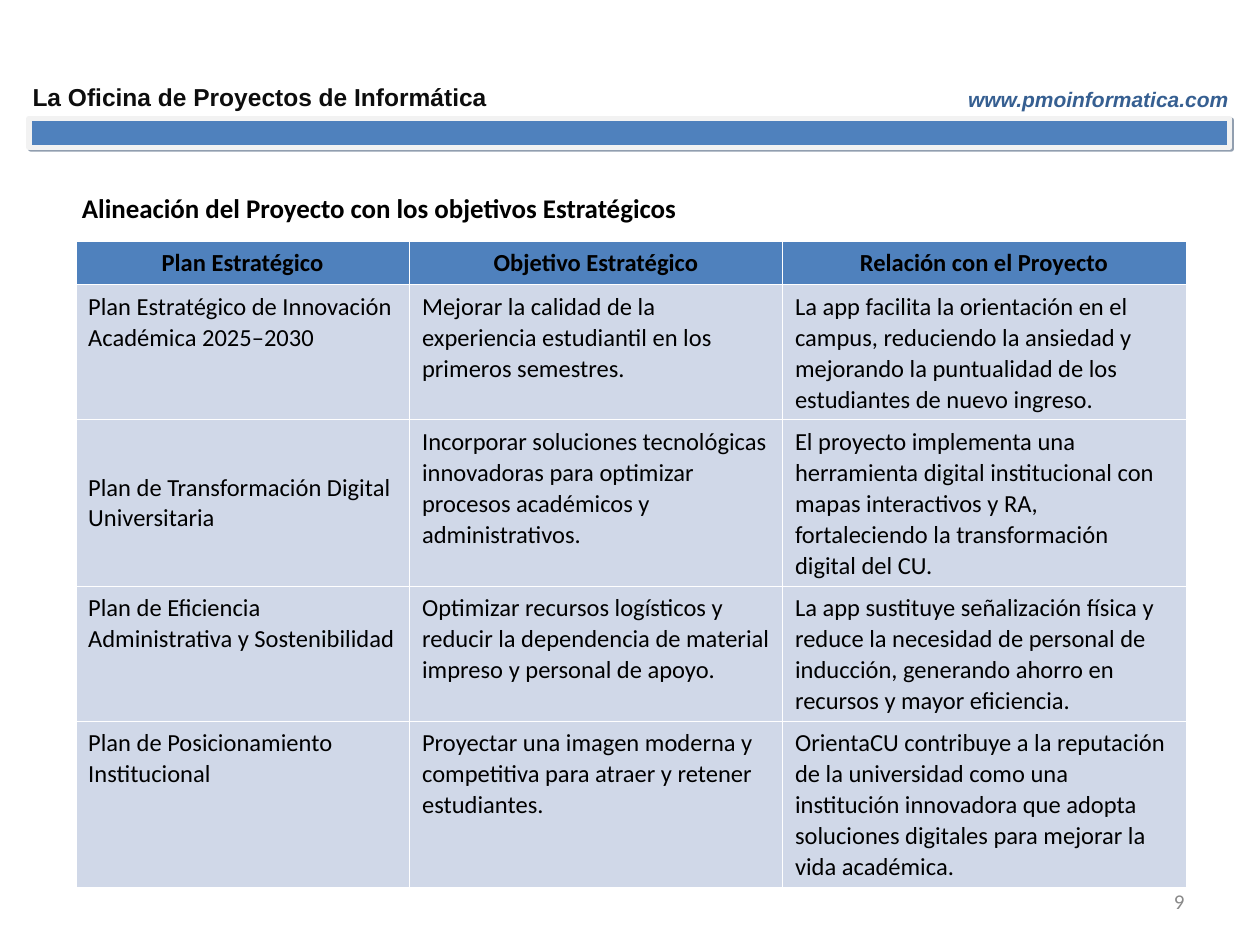
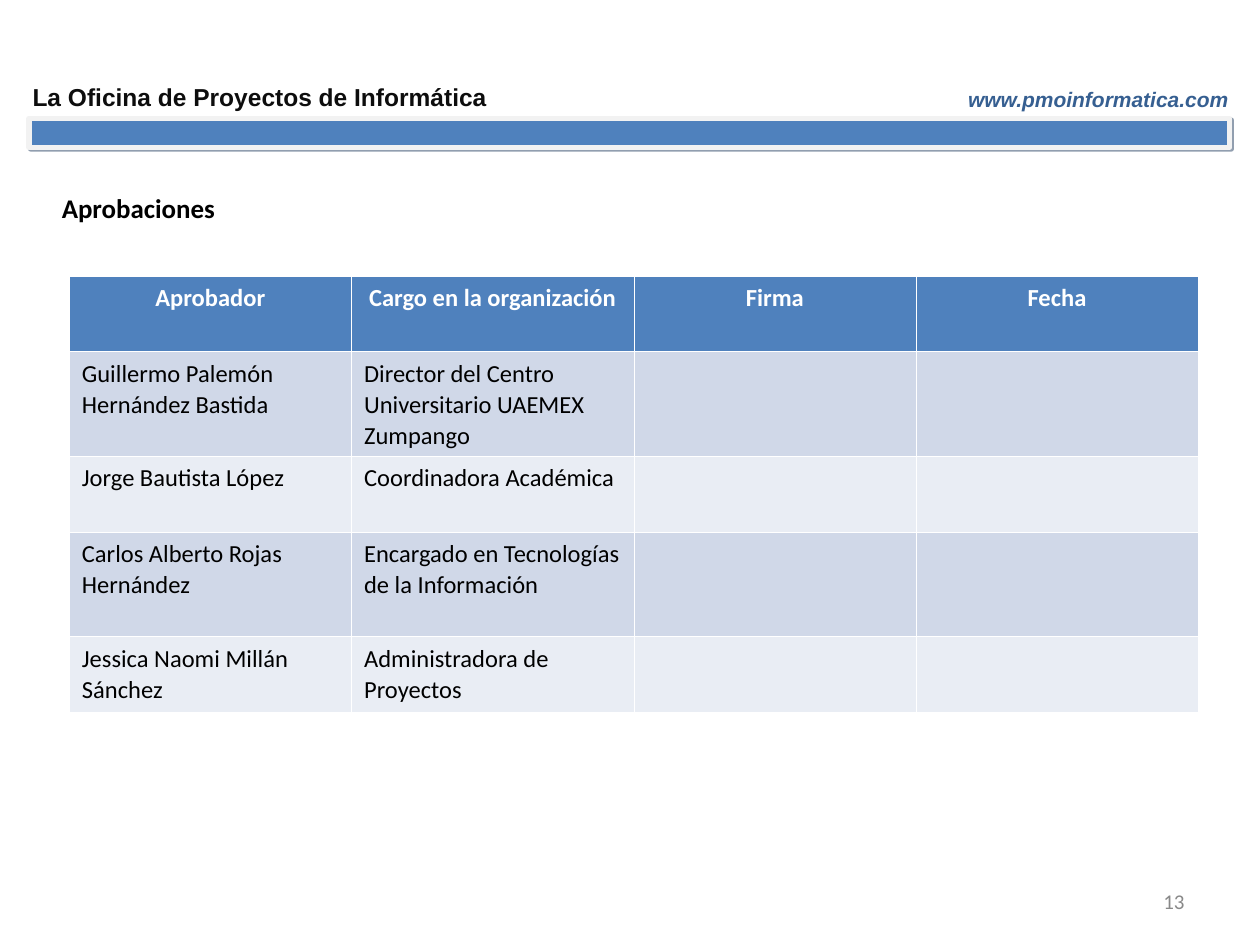
from lxml import etree
from pptx import Presentation
from pptx.dml.color import RGBColor
from pptx.enum import shapes, text
from pptx.oxml import ns
from pptx.util import Inches, Pt

HUES = {
    "band": "4F81BD", "edge": "F2F2F2", "shade": "243F60", "ink": "0D0D0D",
    "link": "365F91", "black": "000000", "white": "FFFFFF", "gray": "898989",
    "dark": "D0D8E8", "light": "E9EDF4",
}
LEFT, MID, RIGHT = text.PP_ALIGN.LEFT, text.PP_ALIGN.CENTER, text.PP_ALIGN.RIGHT

PLANS = [
    ["Plan Estratégico", "Objetivo Estratégico", "Relación con el Proyecto"],
    ["Plan Estratégico de Innovación Académica 2025–2030",
     "Mejorar la calidad de la experiencia estudiantil en los primeros semestres.",
     "La app facilita la orientación en el campus, reduciendo la ansiedad y "
     "mejorando la puntualidad de los estudiantes de nuevo ingreso."],
    ["Plan de Transformación Digital Universitaria",
     "Incorporar soluciones tecnológicas innovadoras para optimizar procesos "
     "académicos y administrativos.",
     "El proyecto implementa una herramienta digital institucional con mapas "
     "interactivos y RA, fortaleciendo la transformación digital del CU."],
    ["Plan de Eficiencia Administrativa y Sostenibilidad",
     "Optimizar recursos logísticos y reducir la dependencia de material impreso "
     "y personal de apoyo.",
     "La app sustituye señalización física y reduce la necesidad de personal de "
     "inducción, generando ahorro en recursos y mayor eficiencia."],
    ["Plan de Posicionamiento Institucional",
     "Proyectar una imagen moderna y competitiva para atraer y retener estudiantes.",
     "OrientaCU contribuye a la reputación de la universidad como una institución "
     "innovadora que adopta soluciones digitales para mejorar la vida académica."],
]
SIGNERS = [
    ["Aprobador", "Cargo en la organización", "Firma", "Fecha"],
    ["Guillermo Palemón Hernández Bastida",
     "Director del Centro Universitario UAEMEX Zumpango", "", ""],
    ["Jorge Bautista López", "Coordinadora Académica", "", ""],
    ["Carlos Alberto Rojas Hernández",
     "Encargado en Tecnologías de la Información", "", ""],
    ["Jessica Naomi Millán Sánchez", "Administradora de Proyectos", "", ""],
]


def color(name):
    return RGBColor.from_string(HUES[name])


def add_hue(parent, name):
    return etree.SubElement(parent, ns.qn("a:srgbClr"), val=HUES[name])


class Deck:
    def __init__(self):
        self.prs = Presentation()
        self.prs.slide_width, self.prs.slide_height = Inches(10), Inches(7.5)
        self.slide = None

    def page(self, title, left, number):
        """Start a slide with the shared header, its title and its number."""
        self.slide = self.prs.slides.add_slide(self.prs.slide_layouts[5])
        self.band(0.23, 0.94, 9.53, 0.23)
        self.label("La Oficina de Proyectos de Informática", 0.16, 0.6, 3.91, 0.34,
                   size=14, hue="ink", font="Arial", bold=True)
        self.label("www.pmoinformatica.com", 7.19, 0.64, 2.66, 0.3, align=RIGHT,
                   size=12, hue="link", font="Arial", bold=True, italic=True)
        self.title(title, left)
        self.label(str(number), 7.17, 6.95, 2.33, 0.4, align=RIGHT,
                   size=12, hue="gray")

    def put(self, frame, words, align=LEFT, lines=1.0, size=14, hue="black",
            font="Calibri", bold=False, italic=False):
        """Set the words of a text frame and format them."""
        frame.text = words
        para = frame.paragraphs[0]
        para.alignment, para.line_spacing = align, lines
        for run in para.runs:
            face = run.font
            face.name, face.size, face.bold, face.italic = font, Pt(size), bold, italic
            face.color.rgb = color(hue)

    def band(self, *place):
        bar = self.slide.shapes.add_shape(shapes.MSO_SHAPE.RECTANGLE,
                                          *map(Inches, place))
        bar.fill.solid()
        bar.fill.fore_color.rgb = color("band")
        bar.line.color.rgb = color("edge")
        bar.line.width = Pt(3)
        bar.shadow.inherit = False
        glow = etree.SubElement(
            bar.element.spPr.find(ns.qn("a:effectLst")), ns.qn("a:outerShdw"),
            blurRad="0", dist=str(Pt(1.4)), dir="2700000", algn="ctr",
            rotWithShape="0")
        etree.SubElement(add_hue(glow, "shade"), ns.qn("a:alpha"), val="50000")

    def label(self, words, *place, **style):
        frame = self.slide.shapes.add_textbox(*map(Inches, place)).text_frame
        frame.word_wrap = True
        frame.vertical_anchor = text.MSO_ANCHOR.MIDDLE
        self.put(frame, words, **style)

    def title(self, words, left):
        head = self.slide.shapes.title
        head.left, head.top = Inches(left), Inches(1.48)
        head.width, head.height = Inches(9.03), Inches(0.39)
        frame = head.text_frame
        frame.auto_size = text.MSO_AUTO_SIZE.NONE
        frame.vertical_anchor = text.MSO_ANCHOR.MIDDLE
        self.put(frame, words, lines=0.8, size=15.4, bold=True)

    def border(self, cell, top, bottom):
        props = cell._tc.get_or_add_tcPr()
        for side, width in zip("LRTB", (0.11, 0.11, top, bottom)):
            line = etree.SubElement(props, ns.qn("a:ln" + side), w=str(Pt(width)))
            add_hue(etree.SubElement(line, ns.qn("a:solidFill")), "white")

    def table(self, rows, left, top, widths, heights, ink, fills, thick):
        """Draw a table whose first `thick` inner rules are the heavier ones."""
        grid = self.slide.shapes.add_table(
            len(rows), len(widths), Inches(left), Inches(top),
            Inches(sum(widths)), Inches(sum(heights))).table
        grid.first_row = grid.horz_banding = False
        for col, width in zip(grid.columns, widths):
            col.width = Inches(width)
        for r, (row, height) in enumerate(zip(rows, heights)):
            grid.rows[r].height = Inches(height)
            head = r == 0
            for c, words in enumerate(row):
                cell = grid.cell(r, c)
                self.border(cell, 0.34 if 0 < r <= thick else 0.11,
                            0.34 if r < thick else 0.11)
                cell.fill.solid()
                cell.fill.fore_color.rgb = color(
                    "band" if head else fills[(r - 1) % len(fills)])
                self.put(cell.text_frame, words, align=MID if head else LEFT,
                         lines=1.04, hue=ink if head else "black", bold=head)
        return grid


def main():
    deck = Deck()
    deck.page("Alineación del Proyecto con los objetivos Estratégicos", 0.55, 9)
    plans = deck.table(PLANS, 0.6, 1.91, [2.65, 2.96, 3.2],
                       [0.35, 1.07, 1.32, 1.07, 1.32], "black", ["dark"], thick=4)
    digital = plans.cell(2, 0)
    digital.vertical_anchor = text.MSO_ANCHOR.MIDDLE
    digital.text_frame.paragraphs[0].line_spacing = 1.0

    deck.page("Aprobaciones", 0.39, 13)
    deck.table(SIGNERS, 0.55, 2.19, [2.24] * 4, [0.6, 0.83, 0.6, 0.83, 0.6],
               "white", ["dark", "light"], thick=1)
    deck.prs.save("out.pptx")


if __name__ == "__main__":
    main()
